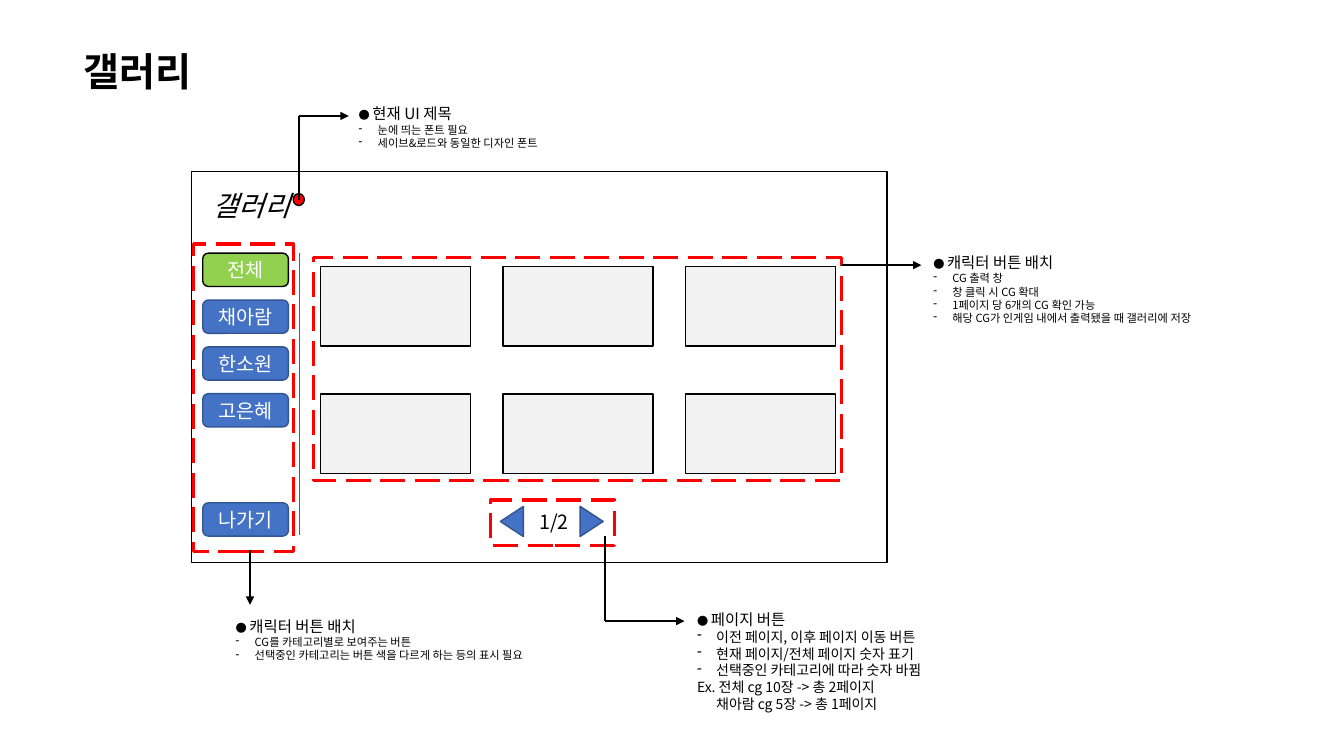
from itertools import pairwise

from lxml.etree import SubElement
from pptx import Presentation
from pptx.dml.color import RGBColor
from pptx.enum.dml import MSO_LINE
from pptx.enum.shapes import MSO_CONNECTOR, MSO_SHAPE
from pptx.enum.text import MSO_ANCHOR, MSO_AUTO_SIZE, PP_ALIGN
from pptx.oxml.ns import qn
from pptx.util import Cm, Pt

# Content: every length is in centimetres
SLIDE_SIZE = (33.87, 19.05)
HEADING = ("갤러리", (1.85, 1.07, 6.27, 1.45))
SCREEN = (4.83, 4.32, 17.53, 9.86)
SCREEN_TITLE = ("갤러리", (5.11, 4.62, 3.02, 1.12))
TITLE_DOT = (7.39, 4.88, 0.28, 0.3)
DIVIDER = [(7.54, 6.38), (7.54, 13.49)]

CATEGORIES = ["전체", "채아람", "한소원", "고은혜"]
SELECTED = "전체"
EXIT = ("나가기", 12.67)
BUTTON = {"left": 5.11, "top": 6.38, "width": 2.16, "height": 0.84, "step": 1.18}

THUMBNAIL = {"left": 8.08, "top": 6.71, "width": 3.78, "height": 2.01,
             "step_x": 4.6, "step_y": 3.22, "columns": 3, "rows": 2}

PAGE_NUMBER = ("1/2", (13.34, 12.73, 1.55, 0.86))
PAGE_ARROWS = [(12.52, 270), (14.53, 90)]  # left, rotation
PAGE_ARROW_SIZE = (12.85, 0.76, 0.58)  # top, width, height

CALLOUTS = [
    {"title": "현재 UI 제목", "place": (8.79, 2.51, 5.82, 1.42), "size": "note",
     "bullets": ["눈에 띄는 폰트 필요", "세이브&로드와 동일한 디자인 폰트"],
     "leader": [(7.54, 5.03), (7.54, 2.92), (8.79, 2.92)]},
    {"title": "캐릭터 버튼 배치", "place": (5.69, 15.42, 8.74, 1.42), "size": "note",
     "bullets": ["CG를 카테고리별로 보여주는 버튼",
                 "선택중인 카테고리는 버튼 색을 다르게 하는 등의 표시 필요"],
     "frame": (4.88, 6.15, 2.51, 7.75),
     "leader": [(6.3, 13.87), (6.3, 15.24)]},
    {"title": "캐릭터 버튼 배치", "place": (23.27, 6.25, 8.23, 2.08), "size": "note",
     "bullets": ["CG 출력 창", "창 클릭 시 CG 확대", "1페이지 당 6개의 CG 확인 가능",
                 "해당 CG가 인게임 내에서 출력됐을 때 갤러리에 저장"],
     "frame": (7.9, 6.48, 13.31, 5.64),
     "leader": [(21.23, 6.68), (23.22, 6.68)]},
    {"title": "페이지 버튼", "place": (17.32, 15.24, 7.57, 2.87), "size": "large_note",
     "bullets": ["이전 페이지, 이후 페이지 이동 버튼", "현재 페이지/전체 페이지 숫자 표기",
                 "선택중인 카테고리에 따라 숫자 바뀜"],
     "examples": [("Ex. 전체 cg 10장 -> 총 2페이지", 0),
                  ("채아람 cg 5장 -> 총 1페이지", 0.48)],
     "frame": (12.37, 12.6, 3.12, 1.14),
     "leader": [(15.24, 13.51), (15.24, 15.65), (17.25, 15.65)]},
]
BULLET_INDENT = 0.48

THEME = {
    "font": "Noto Sans CJK KR", "heading_font": "Arial",
    "ink": "000000", "paper": "FFFFFF", "divider": "595959",
    "blue": "4472C4", "blue_edge": "325491", "green": "92D050",
    "thumbnail": "F2F2F2", "red": "FF0000",
    "heading": 28, "screen_title": 20, "button": 14, "callout": 11,
    "large_note": 10, "note": 8,
}

presentation = Presentation()
presentation.slide_width, presentation.slide_height = map(Cm, SLIDE_SIZE)
slide = presentation.slides.add_slide(presentation.slide_layouts[6])


def color(name):
    return RGBColor.from_string(THEME[name])


def add_run(paragraph, text, size, ink="ink", face="font", **styles):
    run = paragraph.add_run()
    run.text = text
    run.font.color.rgb = color(ink)
    formats = {"size": Pt(THEME[size]), "name": THEME[face], **styles}
    for attribute, value in formats.items():
        setattr(run.font, attribute, value)
    # Korean glyphs take their face from the East Asian font slot
    SubElement(run._r.get_or_add_rPr(), qn("a:ea"), typeface=THEME["font"])


def add_text_frame(place):
    frame = slide.shapes.add_textbox(*map(Cm, place)).text_frame
    formats = {"word_wrap": True, "auto_size": MSO_AUTO_SIZE.SHAPE_TO_FIT_TEXT}
    for attribute, value in formats.items():
        setattr(frame, attribute, value)
    return frame


def add_block(kind, place, fill=None, edge="ink", weight=1):
    block = slide.shapes.add_shape(kind, *map(Cm, place))
    block.shadow.inherit = False
    if fill:
        block.fill.solid()
        block.fill.fore_color.rgb = color(fill)
    else:
        block.fill.background()
    block.line.color.rgb = color(edge)
    block.line.width = Pt(weight)
    return block


def add_path(points, ink="ink", weight=1.5, arrow=True):
    """Join the points with straight lines, with an arrowhead at the last one."""
    for start, end in pairwise(points):
        line = slide.shapes.add_connector(MSO_CONNECTOR.STRAIGHT, *map(Cm, start + end))
        line.line.color.rgb = color(ink)
        line.line.width = Pt(weight)
        if arrow and end == points[-1]:
            SubElement(line.line._get_or_add_ln(), qn("a:tailEnd"), type="triangle")
        SubElement(line._element.spPr, qn("a:effectLst"))


def add_button(label, top):
    fill, edge = ("green", "ink") if label == SELECTED else ("blue", "blue_edge")
    place = (BUTTON["left"], top, BUTTON["width"], BUTTON["height"])
    frame = add_block(MSO_SHAPE.ROUNDED_RECTANGLE, place, fill, edge).text_frame
    frame.vertical_anchor = MSO_ANCHOR.MIDDLE
    frame.paragraphs[0].alignment = PP_ALIGN.CENTER
    add_run(frame.paragraphs[0], label, "button", "paper")


def add_callout(callout):
    if "frame" in callout:
        frame = add_block(MSO_SHAPE.RECTANGLE, callout["frame"], edge="red", weight=2.25)
        frame.line.dash_style = MSO_LINE.LONG_DASH
    add_path(callout["leader"])
    note = add_text_frame(callout["place"])
    add_run(note.paragraphs[0], "● ", "note")
    add_run(note.paragraphs[0], callout["title"], "callout")
    for text in callout["bullets"]:
        paragraph = note.add_paragraph()
        properties = paragraph._p.get_or_add_pPr()
        properties.set("marL", str(Cm(BULLET_INDENT)))
        properties.set("indent", str(-Cm(BULLET_INDENT)))
        SubElement(properties, qn("a:buChar"), char="-")
        add_run(paragraph, text, callout["size"])
    for text, indent in callout.get("examples", []):
        paragraph = note.add_paragraph()
        paragraph._p.get_or_add_pPr().set("marL", str(Cm(indent)))
        add_run(paragraph, text, callout["size"])


add_block(MSO_SHAPE.RECTANGLE, SCREEN, "paper")
for (text, place), styles in [
    (HEADING, {"size": "heading", "face": "heading_font", "bold": True}),
    (SCREEN_TITLE, {"size": "screen_title", "italic": True}),
    (PAGE_NUMBER, {"size": "button"}),
]:
    add_run(add_text_frame(place).paragraphs[0], text, **styles)

add_path(DIVIDER, "divider", 0.5, arrow=False)
for position, category in enumerate(CATEGORIES):
    add_button(category, BUTTON["top"] + position * BUTTON["step"])
add_button(*EXIT)

for row in range(THUMBNAIL["rows"]):
    for column in range(THUMBNAIL["columns"]):
        left = THUMBNAIL["left"] + column * THUMBNAIL["step_x"]
        top = THUMBNAIL["top"] + row * THUMBNAIL["step_y"]
        add_block(MSO_SHAPE.RECTANGLE, (left, top, THUMBNAIL["width"], THUMBNAIL["height"]),
                  "thumbnail")

for left, rotation in PAGE_ARROWS:
    page_arrow = add_block(MSO_SHAPE.ISOSCELES_TRIANGLE, (left, *PAGE_ARROW_SIZE),
                           "blue", "blue_edge")
    page_arrow.rotation = rotation

add_block(MSO_SHAPE.OVAL, TITLE_DOT, "red")
for callout in CALLOUTS:
    add_callout(callout)

presentation.save("out.pptx")
